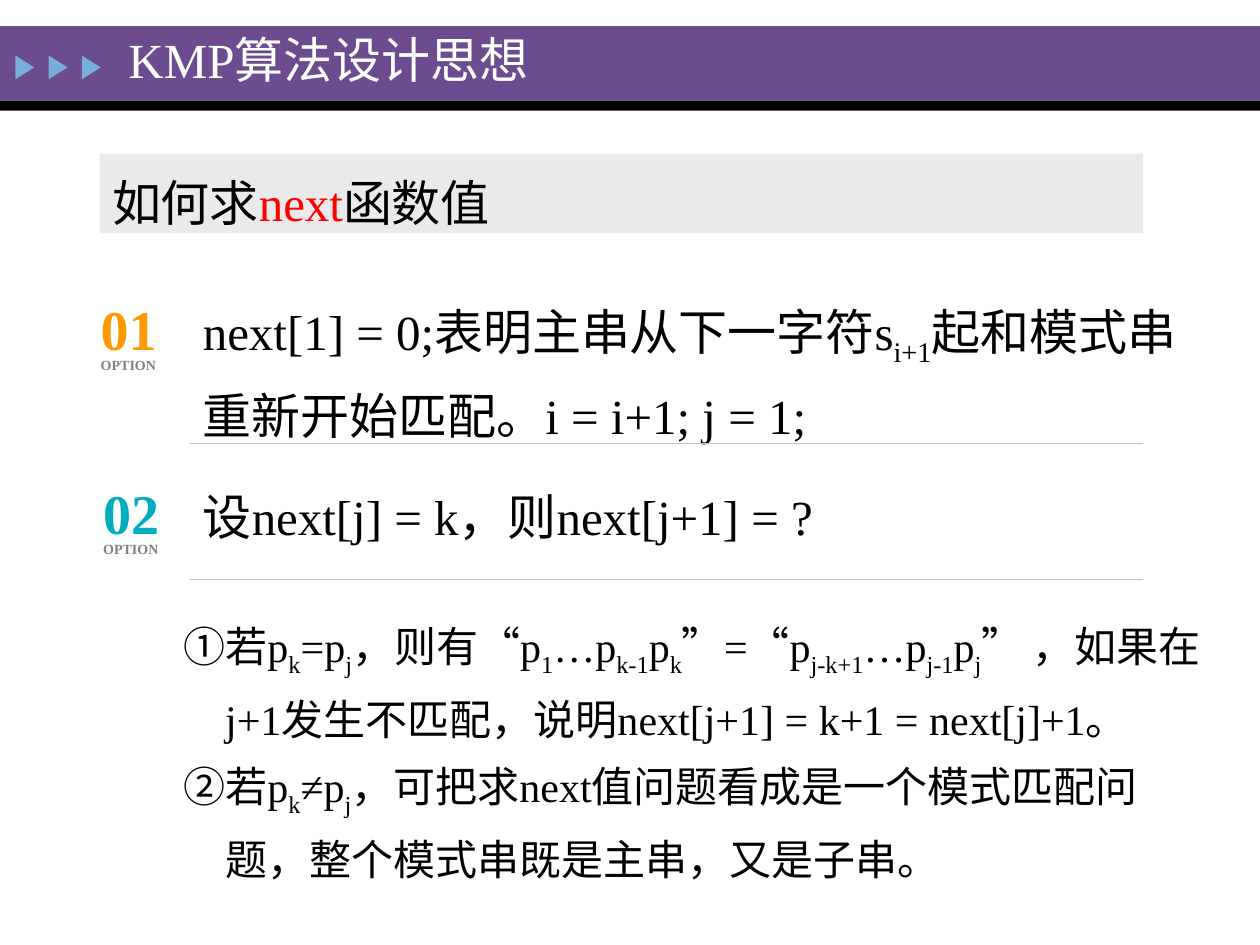
import pptx
import pptx.util
import pptx.dml.color
import pptx.enum.lang
import pptx.enum.shapes
import pptx.enum.text
import pptx.oxml.ns
from lxml import etree

Cm = pptx.util.Cm
SHAPE = pptx.enum.shapes.MSO_SHAPE
ANCHOR = pptx.enum.text.MSO_ANCHOR
FONT = "Times New Roman"
BLACK, WHITE, GREY = "000000", "FEFFFF", "C0C0C0"
HANG = 1.7


def paint(fill, color):
    fill.solid()
    fill.fore_color.rgb = pptx.dml.color.RGBColor.from_string(color)


def add_box(slide, kind, left, top, width, height, color):
    shape = slide.shapes.add_shape(kind, Cm(left), Cm(top), Cm(width), Cm(height))
    shape.shadow.inherit = False
    paint(shape.fill, color)
    shape.line.fill.background()
    return shape


def add_text(para, text, size=28, color=BLACK, bold=False, accent=None,
             space=None, left=0, first=0):
    """Parts between ~ marks are subscripts, or take the accent colour."""
    para.alignment = pptx.enum.text.PP_ALIGN.LEFT
    if space:
        para.line_spacing = space
    if left:
        props = para._p.get_or_add_pPr()
        props.set("marL", str(Cm(left)))
        props.set("indent", str(Cm(first)))
    for num, part in enumerate(text.split("~")):
        if not part:
            continue
        run = para.add_run()
        run.text = part
        font = run.font
        font.name, font.size, font.bold = FONT, pptx.util.Pt(size), bold
        font.language_id = pptx.enum.lang.MSO_LANGUAGE_ID.SIMPLIFIED_CHINESE
        marked = num % 2 == 1
        paint(font.fill, accent if marked and accent else color)
        if marked and not accent:
            run._r.get_or_add_rPr().set("baseline", "-25000")


def add_frame(slide, left, top, width, height, anchor=ANCHOR.TOP,
              wrap=True, inset=True):
    box = slide.shapes.add_textbox(Cm(left), Cm(top), Cm(width), Cm(height))
    frame = box.text_frame
    frame.word_wrap = wrap
    frame.vertical_anchor = anchor
    if not inset:
        frame.margin_left = frame.margin_right = 0
        frame.margin_top = frame.margin_bottom = 0
    return frame


def add_label(slide, left, top, number, color):
    frame = add_frame(slide, left, top, 1.24, 1.37, ANCHOR.MIDDLE, inset=False)
    add_text(frame.paragraphs[0], number, size=32, color=color, bold=True)
    frame = add_frame(slide, left - 0.25, top + 1.14, 1.65, 0.61, wrap=False)
    add_text(frame.paragraphs[0], "OPTION", size=8, color="818181", bold=True)


def add_rule(slide, top):
    line = slide.shapes.add_connector(
        pptx.enum.shapes.MSO_CONNECTOR.STRAIGHT,
        Cm(3.84), Cm(top), Cm(23.04), Cm(top))
    paint(line.line.fill, GREY)
    line.line.width = pptx.util.Pt(0.75)
    etree.SubElement(line._element.spPr, pptx.oxml.ns.qn("a:effectLst"))


def add_header(slide):
    add_box(slide, SHAPE.RECTANGLE, 0, 0.53, 25.4, 1.5, "6C4C8F")
    add_box(slide, SHAPE.RECTANGLE, 0, 2.03, 25.4, 0.2, BLACK)
    for num in range(3):
        arrow = add_box(slide, SHAPE.ISOSCELES_TRIANGLE,
                        0.26 + 0.67 * num, 1.17, 0.48, 0.38, "76AEDD")
        arrow.rotation = 90
    frame = add_frame(slide, 2.34, 0.48, 17.81, 1.42, ANCHOR.MIDDLE)
    add_text(frame.paragraphs[0], "KMP算法设计思想", color=WHITE)


def add_notes(slide):
    frame = add_frame(slide, 3.45, 12.04, 21.51, 5.87)
    lines = [
        ("①若p~k~=p~j~，则有“p~1~…p~k-1~p~k~”=“p~j-k+1~…p~j-1~p~j~” ，如果在",
         HANG, -HANG),
        ("j+1发生不匹配，说明next[j+1] = k+1 = next[j]+1。", 0.84, 0),
        ("②若p~k~≠p~j~，可把求next值问题看成是一个模式匹配问", HANG, -HANG),
        ("题，整个模式串既是主串，又是子串。", 0.84, 0),
    ]
    for num, (text, left, first) in enumerate(lines):
        para = frame.add_paragraph() if num else frame.paragraphs[0]
        add_text(para, text, size=24, space=1.3, left=left, first=first)


def main():
    deck = pptx.Presentation()
    deck.slide_width, deck.slide_height = Cm(25.4), Cm(19.05)
    slide = deck.slides.add_slide(deck.slide_layouts[6])
    paint(slide.background.fill, WHITE)

    add_header(slide)

    # Question bar
    bar = add_box(slide, SHAPE.RECTANGLE, 2.01, 3.1, 21.03, 1.6, "EAEAEA")
    bar.text_frame.vertical_anchor = ANCHOR.MIDDLE
    add_text(bar.text_frame.paragraphs[0], "如何求~next~函数值",
             accent="FF0000", space=1.3)

    # Numbered options
    add_label(slide, 2.03, 5.92, "01", "FF9900")
    frame = add_frame(slide, 3.84, 5.54, 20.27, 3.05)
    add_text(frame.paragraphs[0],
             "next[1] = 0;表明主串从下一字符s~i+1~起和模式串重新开始匹配。i = i+1; j = 1;",
             space=1.3)
    add_label(slide, 2.08, 9.63, "02", "01ACBE")
    frame = add_frame(slide, 3.84, 9.32, 18.97, 1.78)
    add_text(frame.paragraphs[0], "设next[j] = k，则next[j+1] = ?",
             space=1.3, left=HANG, first=-HANG)

    # Case analysis and divider lines
    add_notes(slide)
    for top in (8.94, 11.68):
        add_rule(slide, top)

    deck.save("out.pptx")


if __name__ == "__main__":
    main()
